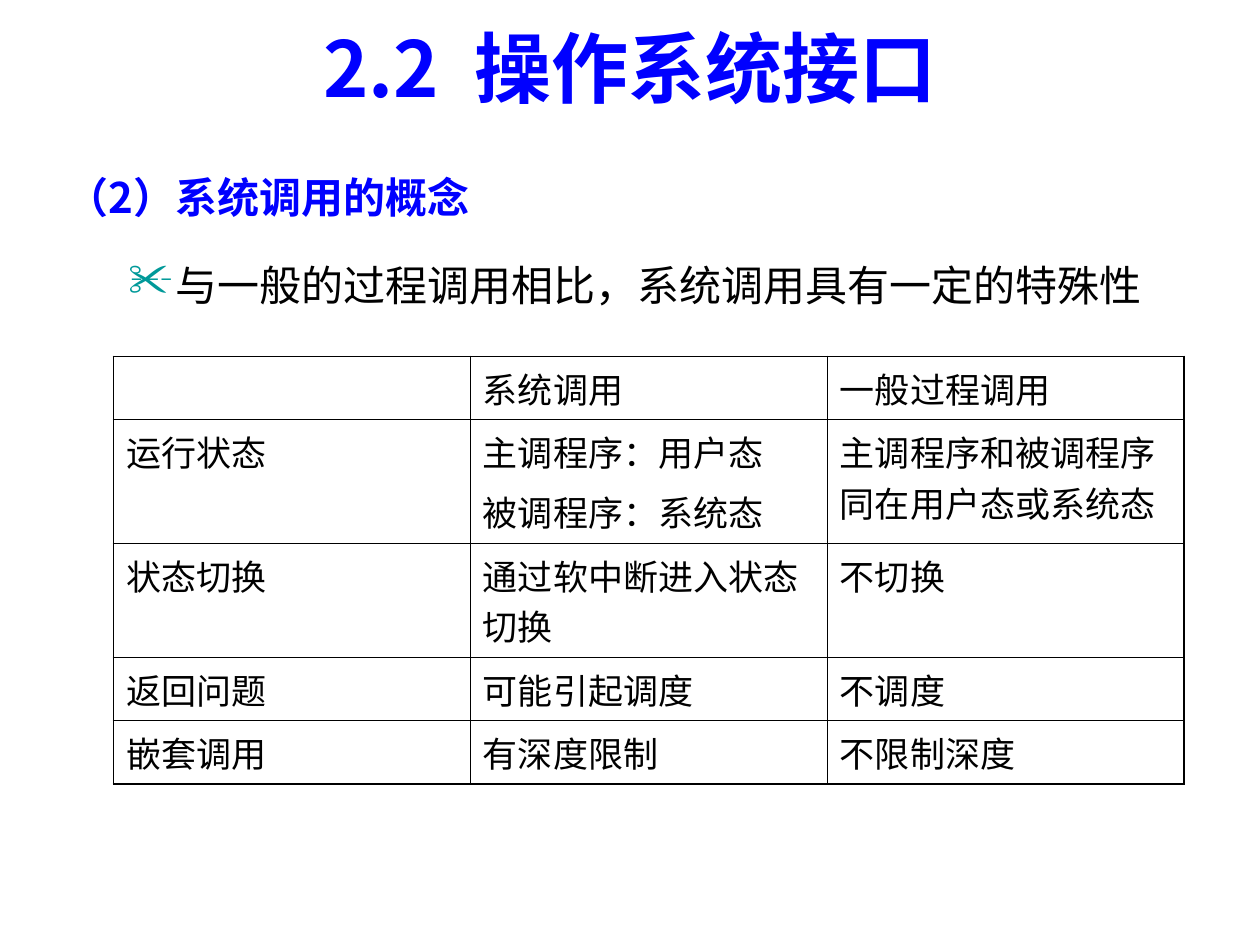
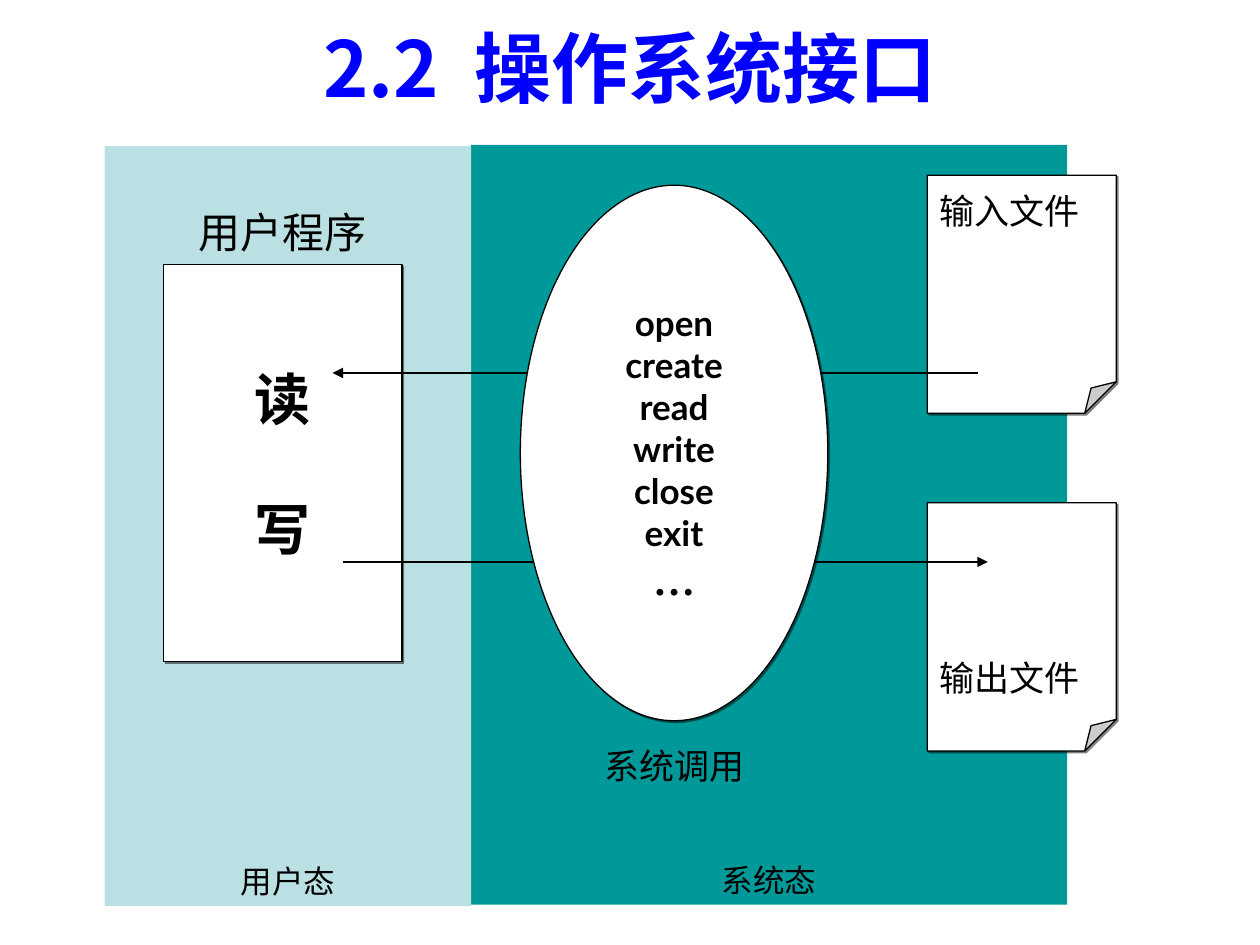
from lxml import etree
from pptx import Presentation
from pptx.dml.color import RGBColor
from pptx.enum.shapes import MSO_CONNECTOR, MSO_SHAPE
from pptx.enum.text import MSO_ANCHOR, MSO_AUTO_SIZE, PP_ALIGN
from pptx.oxml.ns import qn
from pptx.util import Inches, Pt

RECTANGLE, ELLIPSE = MSO_SHAPE.RECTANGLE, MSO_SHAPE.OVAL
PAGE = MSO_SHAPE.FOLDED_CORNER
STRAIGHT = MSO_CONNECTOR.STRAIGHT
TOP, MIDDLE, BOTTOM = MSO_ANCHOR.TOP, MSO_ANCHOR.MIDDLE, MSO_ANCHOR.BOTTOM
LEFT, CENTER, JUSTIFY = PP_ALIGN.LEFT, PP_ALIGN.CENTER, PP_ALIGN.JUSTIFY
FIT = MSO_AUTO_SIZE.SHAPE_TO_FIT_TEXT

WIDTH, HEIGHT = Inches(10), Inches(7.5)
COLUMNS, ROWS = 100, 75
BLACK, WHITE, BLUE = "000000", "FFFFFF", "0000FF"
TEAL, PALE_TEAL = "009999", "BBE0E3"
LATIN, CHINESE, SERIF = "Lato", "Noto Sans CJK SC", "Times New Roman"
THIN, THICK = 0.45, 1.08
HEADING = "2.2 操作系统接口"


def color(value):
    return RGBColor.from_string(value)


def add_xml(parent, tag, **attributes):
    return etree.SubElement(parent, qn(tag), attributes)


class Deck:
    def __init__(self):
        self.presentation = Presentation()
        self.presentation.slide_width = WIDTH
        self.presentation.slide_height = HEIGHT
        self.slide = None

    def x(self, columns):
        return round(WIDTH * columns / COLUMNS)

    def y(self, rows):
        return round(HEIGHT * rows / ROWS)

    def place(self, left, top, width, height):
        return self.x(left), self.y(top), self.x(width), self.y(height)

    def style(self, paragraph, size, face=LATIN, ink=BLACK, bold=False, align=LEFT):
        paragraph.alignment = align
        font = paragraph.font
        font.size, font.name, font.bold = Pt(size), face, bold
        font.color.rgb = color(ink)
        add_xml(paragraph._p.pPr.find(qn("a:defRPr")), "a:ea", typeface=CHINESE)

    def set_lines(self, frame, lines, size, anchor=TOP, wrap=True, **look):
        frame.word_wrap = wrap
        frame.vertical_anchor = anchor
        frame.text = "\n".join(lines)
        for paragraph in frame.paragraphs:
            self.style(paragraph, size, **look)
        return frame.paragraphs

    def add_slide(self, heading):
        self.slide = self.presentation.slides.add_slide(self.presentation.slide_layouts[5])
        title = self.slide.shapes.title
        title.left, title.top, title.width, title.height = self.place(7.5, 2.1, 85, 6.4)
        paragraph = self.set_lines(title.text_frame, [""], 44, MIDDLE,
                                   face=CHINESE, ink=BLUE, bold=True, align=CENTER)[0]
        for part in heading.partition(" "):
            run = paragraph.add_run()
            run.text = part
            if part == " ":
                run._r.get_or_add_rPr().set("spc", "1000")

    def text(self, place, content, size, fit=False, **look):
        box = self.slide.shapes.add_textbox(*self.place(*place))
        paragraph = self.set_lines(box.text_frame, [content], size, **look)[0]
        if fit:
            box.text_frame.auto_size = FIT
        return paragraph

    def hang(self, paragraph, bullet=None):
        paragraph.space_before = Pt(6)
        properties = paragraph._p.pPr
        indent = self.x(3.75)
        properties.set("marL", str(indent))
        properties.set("indent", str(-indent))
        if bullet:
            bullet_color = etree.Element(qn("a:buClr"))
            add_xml(bullet_color, "a:srgbClr", val=TEAL)
            bullet_size = etree.Element(qn("a:buSzPct"), val="110000")
            bullet_mark = etree.Element(qn("a:buChar"), char=bullet)
            for element in (bullet_color, bullet_size, bullet_mark):
                properties.find(qn("a:defRPr")).addprevious(element)

    def shape(self, kind, place, fill, lines=(), size=20, raised=True,
              anchor=MIDDLE, bold=False):
        shape = self.slide.shapes.add_shape(kind, *self.place(*place))
        shape.shadow.inherit = False
        shape.fill.solid()
        shape.fill.fore_color.rgb = color(fill)
        if raised:
            self.outline(shape.line)
            effects = shape._element.spPr.find(qn("a:effectLst"))
            shadow = add_xml(effects, "a:outerShdw", dist=str(Pt(1.4)),
                             dir="2700000", algn="ctr", rotWithShape="0")
            add_xml(add_xml(shadow, "a:srgbClr", val=BLACK), "a:alpha", val="50000")
        else:
            shape.line.fill.background()
        if lines:
            return self.set_lines(shape.text_frame, lines, size, anchor, False,
                                  bold=bold, align=CENTER)
        return []

    def outline(self, line):
        line.color.rgb = color(BLACK)
        line.width = Pt(0.75)

    def arrow(self, start, end, row):
        arrow = self.slide.shapes.add_connector(
            STRAIGHT, self.x(start), self.y(row), self.x(end), self.y(row))
        self.outline(arrow.line)
        properties = arrow._element.spPr
        add_xml(properties.find(qn("a:ln")), "a:tailEnd", type="triangle")
        add_xml(properties, "a:effectLst")

    def border(self, cell, sides):
        properties = cell._tc.get_or_add_tcPr()
        for position, (side, width) in enumerate(sides.items()):
            line = etree.Element(qn(f"a:{side}"), w=str(Pt(width)))
            add_xml(add_xml(line, "a:solidFill"), "a:srgbClr", val=BLACK)
            properties.insert(position, line)

    def table(self, place, records, heights):
        last_row, last_column = len(records) - 1, len(records[0]) - 1
        table = self.slide.shapes.add_table(
            len(records), len(records[0]), *self.place(*place)).table
        table.first_row = table.horz_banding = False
        for row, (record, height) in enumerate(zip(records, heights)):
            table.rows[row].height = self.y(height)
            for column, content in enumerate(record):
                cell = table.cell(row, column)
                cell.fill.background()
                for paragraph in self.set_lines(cell.text_frame, content.split("\n"), 20):
                    paragraph.space_before = Pt(5)
                self.border(cell, {
                    "lnL": THICK if column == 0 else THIN,
                    "lnR": THICK if column == last_column else THIN,
                    "lnT": THICK if row == 0 else THIN,
                    "lnB": THICK if row == last_row else THIN,
                })


def comparison_slide(deck):
    deck.add_slide(HEADING)
    topic = deck.text((4.3, 11.5, 92.9, 8), "（2）系统调用的概念", 24,
                      face=CHINESE, ink=BLUE, bold=True, align=JUSTIFY)
    deck.hang(topic)
    topic.line_spacing = 1.4
    point = deck.text((9.2, 20.1, 85, 5.8),
                      "与一般的过程调用相比，系统调用具有一定的特殊性", 24, face=CHINESE)
    deck.hang(point, "✂")
    deck.table((9, 28.3, 85, 33.9), [
        ("", "系统调用", "一般过程调用"),
        ("运行状态", "主调程序：用户态\n被调程序：系统态", "主调程序和被调程序同在用户态或系统态"),
        ("状态切换", "通过软中断进入状态切换", "不切换"),
        ("返回问题", "可能引起调度", "不调度"),
        ("嵌套调用", "有深度限制", "不限制深度"),
    ], (5, 9.8, 9.1, 5, 5))


def file_access_slide(deck):
    deck.add_slide(HEADING)
    for place, fill, state in (((37.4, 11.5, 47.3, 60.3), TEAL, "系统态"),
                               ((8.3, 11.6, 29.1, 60.3), PALE_TEAL, "用户态")):
        deck.shape(RECTANGLE, place, fill, [state], 18, raised=False, anchor=BOTTOM)
    actions = deck.shape(RECTANGLE, (13, 21, 18.9, 31.5), WHITE,
                         ["读", "写"], 32, bold=True)
    actions[-1].space_before = Pt(36)
    for top, height in ((13.9, 18.9), (39.9, 19.7)):
        deck.shape(PAGE, (73.6, top, 15, height), WHITE)
    deck.arrow(77.6, 26.4, 29.6)
    deck.arrow(27.2, 78.4, 44.6)
    calls = deck.shape(ELLIPSE, (41.3, 14.7, 24.4, 42.5), WHITE,
                       ["open", "create", "read", "write", "close", "exit", "…"], bold=True)
    calls[-1].font.size, calls[-1].font.name = Pt(24), SERIF
    deck.text((14.8, 15.9, 18.9, 5), "用户程序", 24, fit=True, anchor=BOTTOM)
    deck.text((44.5, 58.5, 18.1, 4.4), "系统调用", 20, fit=True, anchor=BOTTOM, align=CENTER)
    for top, label in ((14.5, "输入文件"), (51.5, "输出文件")):
        deck.text((73.6, top, 13.1, 4.4), label, 20, fit=True, anchor=BOTTOM, wrap=False)


def main():
    deck = Deck()
    comparison_slide(deck)
    file_access_slide(deck)
    deck.presentation.save("out.pptx")


if __name__ == "__main__":
    main()
